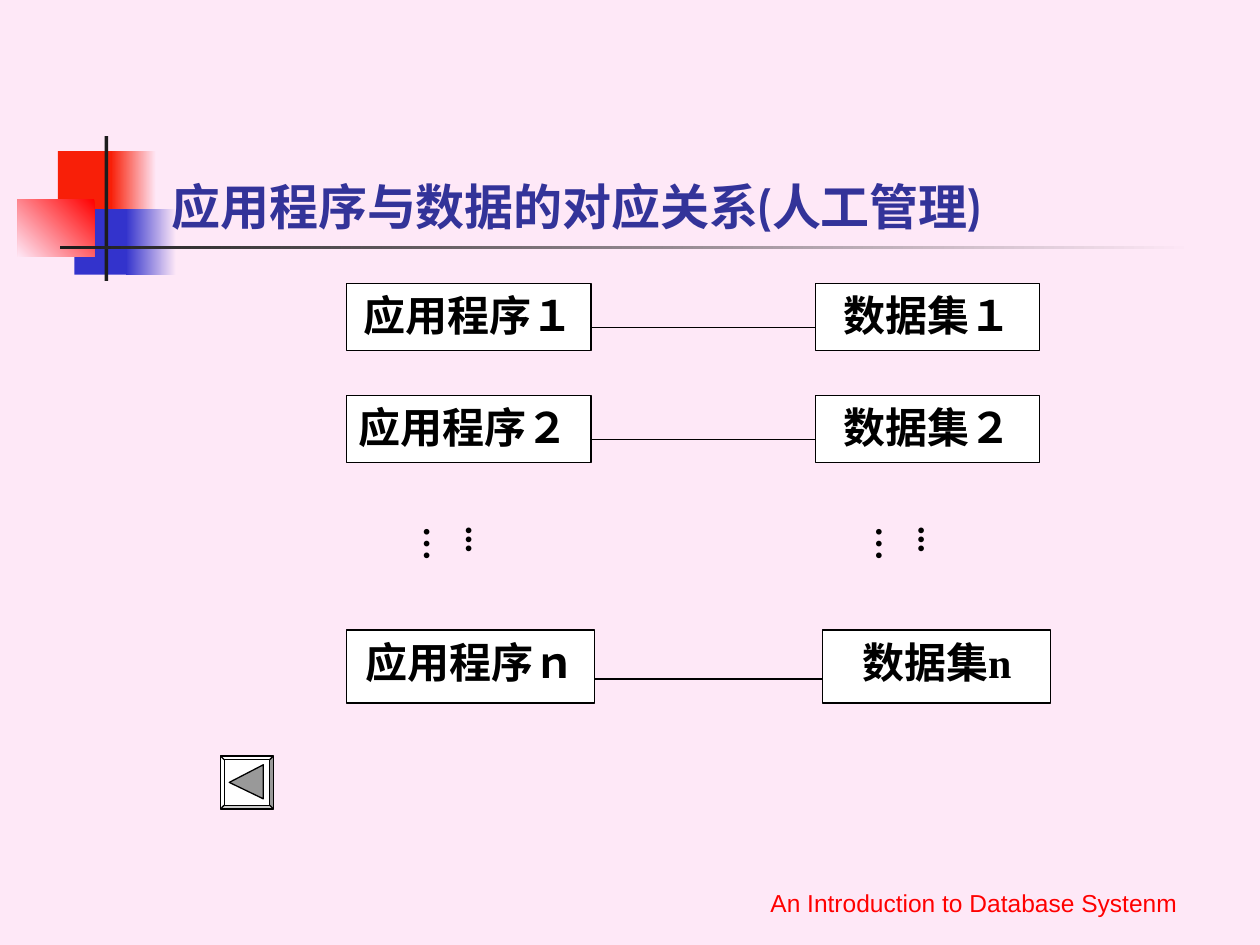
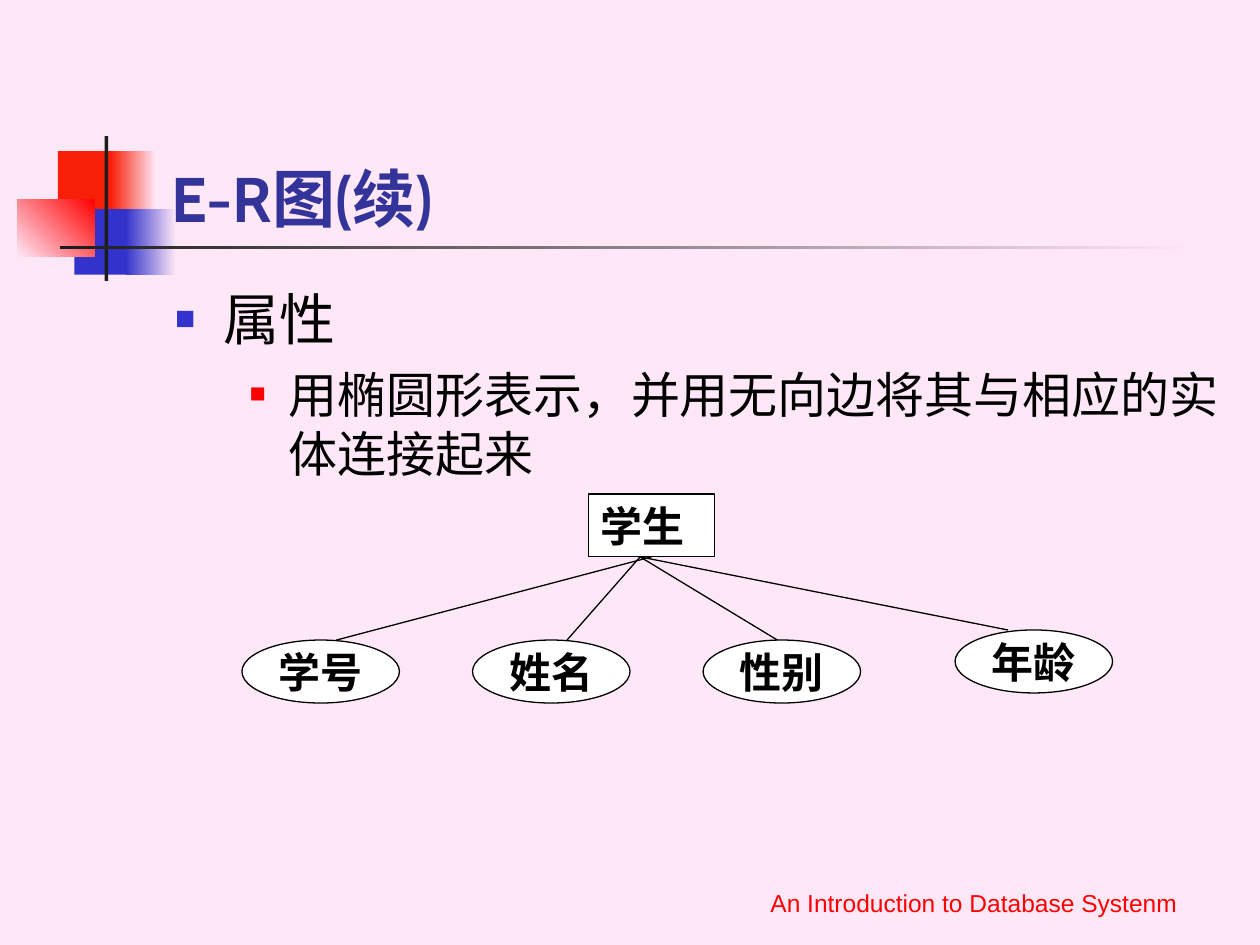
"""Build two database lecture slides: program-to-data mapping and E-R attributes."""
from lxml import etree
from pptx import Presentation
from pptx.dml.color import RGBColor
from pptx.enum.shapes import MSO_CONNECTOR, MSO_SHAPE as Shape
from pptx.enum.text import MSO_ANCHOR as Anchor, MSO_AUTO_SIZE, PP_ALIGN as Align
from pptx.oxml.ns import qn
from pptx.util import Inches, Pt

PINK = RGBColor(0xFE, 0xE8, 0xF7)
RED = RGBColor(0xFF, 0x00, 0x00)
SCARLET = RGBColor(0xF8, 0x1F, 0x08)
BLUE = RGBColor(0x33, 0x33, 0xCC)
NAVY = RGBColor(0x33, 0x33, 0x99)
CHARCOAL = RGBColor(0x1C, 0x1C, 0x1C)
GRAY = RGBColor(0x99, 0x99, 0x99)
WHITE = RGBColor(0xFF, 0xFF, 0xFF)
BLACK = RGBColor(0x00, 0x00, 0x00)
HEAD_FONT, LABEL_FONT, FOOTER_FONT = "Cabin", "Times New Roman", "Arial"
FOOTER = "An Introduction to Database Systenm"

ORNAMENT = [
    ((0.46, 1.2, 0.48, 0.52), [SCARLET], 0),
    ((0.88, 1.2, 0.36, 0.52), [PINK, SCARLET], 180),
    ((0.59, 1.66, 0.46, 0.52), [BLUE], 0),
    ((1, 1.66, 0.4, 0.52), [PINK, BLUE], 180),
    ((0.14, 1.58, 0.61, 0.46), [RED, PINK], 225),
    ((0.83, 1.08, 0.03, 1.15), [CHARCOAL], 0),
    ((0.48, 1.95, 9, 0.03), [PINK, CHARCOAL], 180),
]


def add_box(page, kind, place, text="", align=Align.CENTER, anchor=Anchor.TOP):
    box = page.shapes.add_shape(kind, *map(Inches, place))
    box.shadow.inherit = False
    box.fill.solid()
    box.fill.fore_color.rgb = WHITE
    box.line.color.rgb = BLACK
    box.line.width = Pt(0.75)
    frame = box.text_frame
    frame.vertical_anchor = anchor
    frame.word_wrap = kind != Shape.OVAL
    para = frame.paragraphs[0]
    para.text, para.alignment = text, align
    para.font.name, para.font.size, para.font.bold = LABEL_FONT, Pt(24), True
    para.font.color.rgb = BLACK
    return box


def add_line(page, start, end):
    line = page.shapes.add_connector(MSO_CONNECTOR.STRAIGHT, *map(Inches, start + end))
    line.line.color.rgb = BLACK
    line.line.width = Pt(0.75)
    etree.SubElement(line.element.spPr, qn("a:effectLst"))


deck = Presentation()
deck.slide_width, deck.slide_height = Inches(10), Inches(7.5)
background = deck.slide_master.background.fill
background.solid()
background.fore_color.rgb = PINK

pages = []
for layout_name, heading, size in [
    ("Title Only", "应用程序与数据的对应关系(人工管理)", 28),
    ("Title and Content", "E-R图(续)", 36),
]:
    page = deck.slides.add_slide(deck.slide_layouts.get_by_name(layout_name))
    pages.append(page)
    for place, colors, angle in ORNAMENT:
        piece = page.shapes.add_shape(Shape.RECTANGLE, *map(Inches, place))
        piece.shadow.inherit = False
        piece.line.fill.background()
        if len(colors) == 1:
            piece.fill.solid()
            piece.fill.fore_color.rgb = colors[0]
        else:
            piece.fill.gradient()
            piece.fill.gradient_angle = angle
            for stop, color in zip(piece.fill.gradient_stops, colors):
                stop.color.rgb = color
    for holder in list(page.placeholders):
        page.shapes.element.append(holder.element)

    title = page.shapes.title
    title.left, title.top, title.width, title.height = map(Inches, (1.26, 0.67, 8.52, 1.25))
    title.text_frame.auto_size = MSO_AUTO_SIZE.NONE
    title.text_frame.vertical_anchor = Anchor.BOTTOM
    para = title.text_frame.paragraphs[0]
    para.text, para.alignment = heading, Align.LEFT
    para.font.name, para.font.size, para.font.bold = HEAD_FONT, Pt(size), True
    para.font.color.rgb = NAVY

    footer = page.shapes.add_textbox(*map(Inches, (5.71, 6.83, 4.04, 0.5))).text_frame
    footer.word_wrap = True
    footer.vertical_anchor = Anchor.BOTTOM
    para = footer.paragraphs[0]
    para.text, para.alignment = FOOTER, Align.CENTER
    para.font.name, para.font.size = FOOTER_FONT, Pt(14)
    para.font.color.rgb = RED

mapping, attributes = pages

program_left = 2.75
for number, top, height, program_width, data_left, data_width, line_drop, align in [
    ("１", 2.25, 0.53, 1.94, 6.47, 1.78, 0.35, Align.CENTER),
    ("２", 3.14, 0.53, 1.94, 6.47, 1.78, 0.35, Align.JUSTIFY),
    ("ｎ", 5, 0.58, 1.97, 6.53, 1.81, 0.39, Align.CENTER),
]:
    data_number = "n" if number == "ｎ" else number
    add_box(mapping, Shape.RECTANGLE, (program_left, top, program_width, height),
            "应用程序" + number, align)
    add_box(mapping, Shape.RECTANGLE, (data_left, top, data_width, height),
            "数据集" + data_number)
    add_line(mapping, (program_left + program_width, top + line_drop),
             (data_left, top + line_drop))

for left in (3.5, 7.09):
    dots = mapping.shapes.add_textbox(*map(Inches, (left, 4.08, 0.53, 0.67))).text_frame
    dots.word_wrap = True
    dots.margin_left = dots.margin_right = Inches(0.05)
    dots.margin_top = dots.margin_bottom = Inches(0.1)
    dots._txBody.bodyPr.set("vert", "eaVert")
    para = dots.paragraphs[0]
    para.text = "...…"
    para.font.name, para.font.size, para.font.bold = LABEL_FONT, Pt(20), True
    para.font.color.rgb = BLACK

button = add_box(mapping, Shape.BEVEL, (1.75, 6, 0.42, 0.42))
button.adjustments[0] = 0.07
builder = mapping.shapes.build_freeform(Inches(1.82), Inches(6.21))
builder.add_line_segments([(Inches(2.09), Inches(6.07)), (Inches(2.09), Inches(6.34))])
arrow = builder.convert_to_shape()
arrow.shadow.inherit = False
arrow.fill.solid()
arrow.fill.fore_color.rgb = GRAY
arrow.line.color.rgb = BLACK
arrow.line.width = Pt(0.75)

body = attributes.placeholders[1]
body.left, body.top, body.width, body.height = map(Inches, (1.29, 2.21, 8.5, 4.5))
frame = body.text_frame
frame.auto_size = MSO_AUTO_SIZE.NONE
frame.text = "属性\n用椭圆形表示，并用无向边将其与相应的实体连接起来"
bullets = [(0.38, -0.38, 0, BLUE, 60, 32), (0.9, -0.31, 7, RED, 55, 28)]
for level, (para, bullet) in enumerate(zip(frame.paragraphs, bullets)):
    margin, indent, before, color, percent, size = bullet
    para.level = level
    para.space_before = Pt(before)
    props = para._p.get_or_add_pPr()
    props.set("marL", str(Inches(margin)))
    props.set("indent", str(Inches(indent)))
    tint = etree.SubElement(props, qn("a:buClr"))
    etree.SubElement(tint, qn("a:srgbClr"), val=str(color))
    etree.SubElement(props, qn("a:buSzPct"), val=str(percent * 1000))
    etree.SubElement(props, qn("a:buFont"), typeface="Arial")
    etree.SubElement(props, qn("a:buChar"), char="■")
    para.font.name, para.font.size = HEAD_FONT, Pt(size)
    para.font.color.rgb = BLACK

add_box(attributes, Shape.RECTANGLE, (4.67, 3.92, 1, 0.5), "学生", Align.LEFT)
for name, left, top, root, tip in [
    ("学号", 1.92, 5.08, 5.17, 2.67),
    ("姓名", 3.75, 5.08, 5.08, 4.5),
    ("性别", 5.58, 5.08, 5.08, 6.17),
    ("年龄", 7.58, 5, 5.08, 8),
]:
    add_box(attributes, Shape.OVAL, (left, top, 1.25, 0.5), name, anchor=Anchor.MIDDLE)
    add_line(attributes, (root, 4.42), (tip, top))

deck.save("out.pptx")
